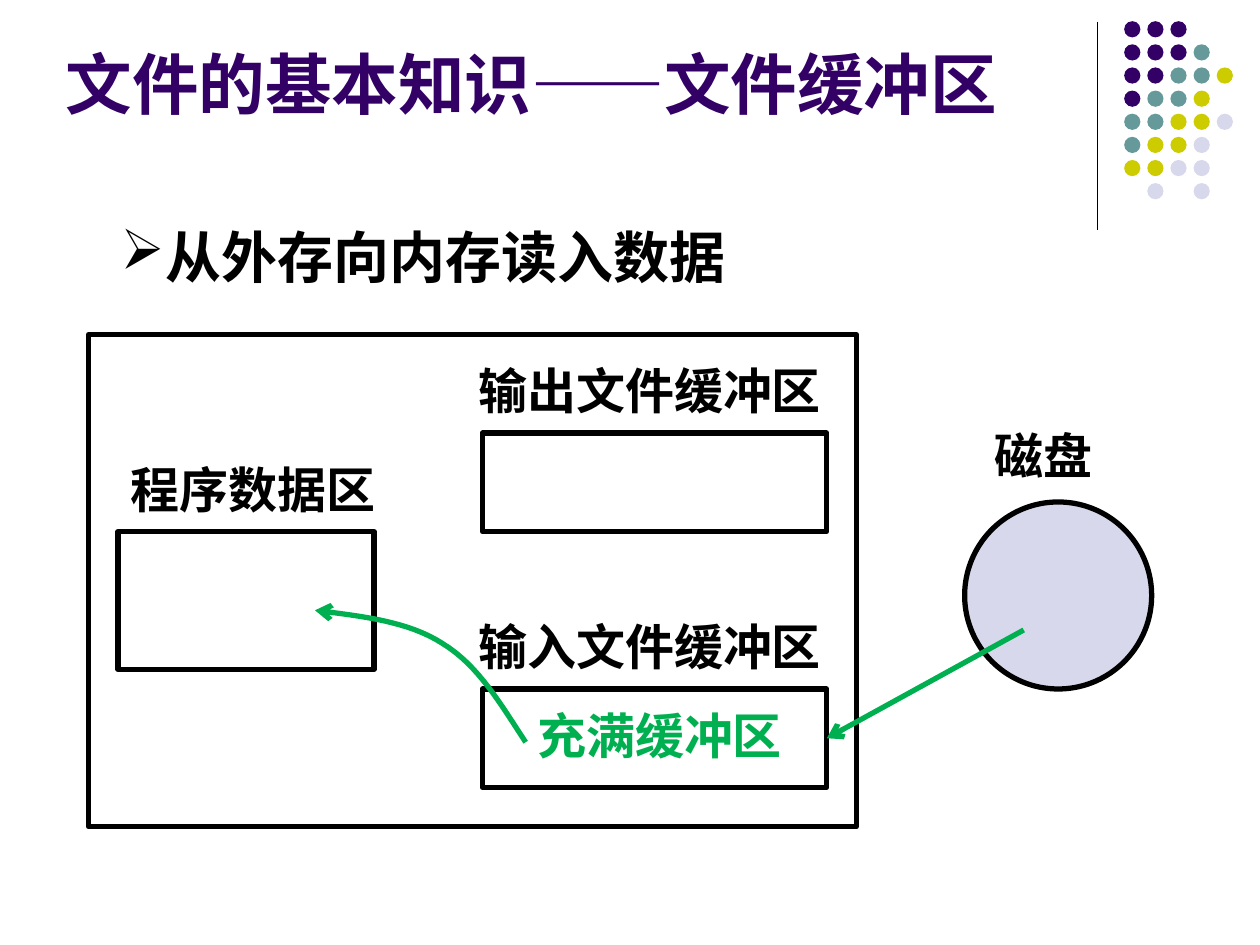
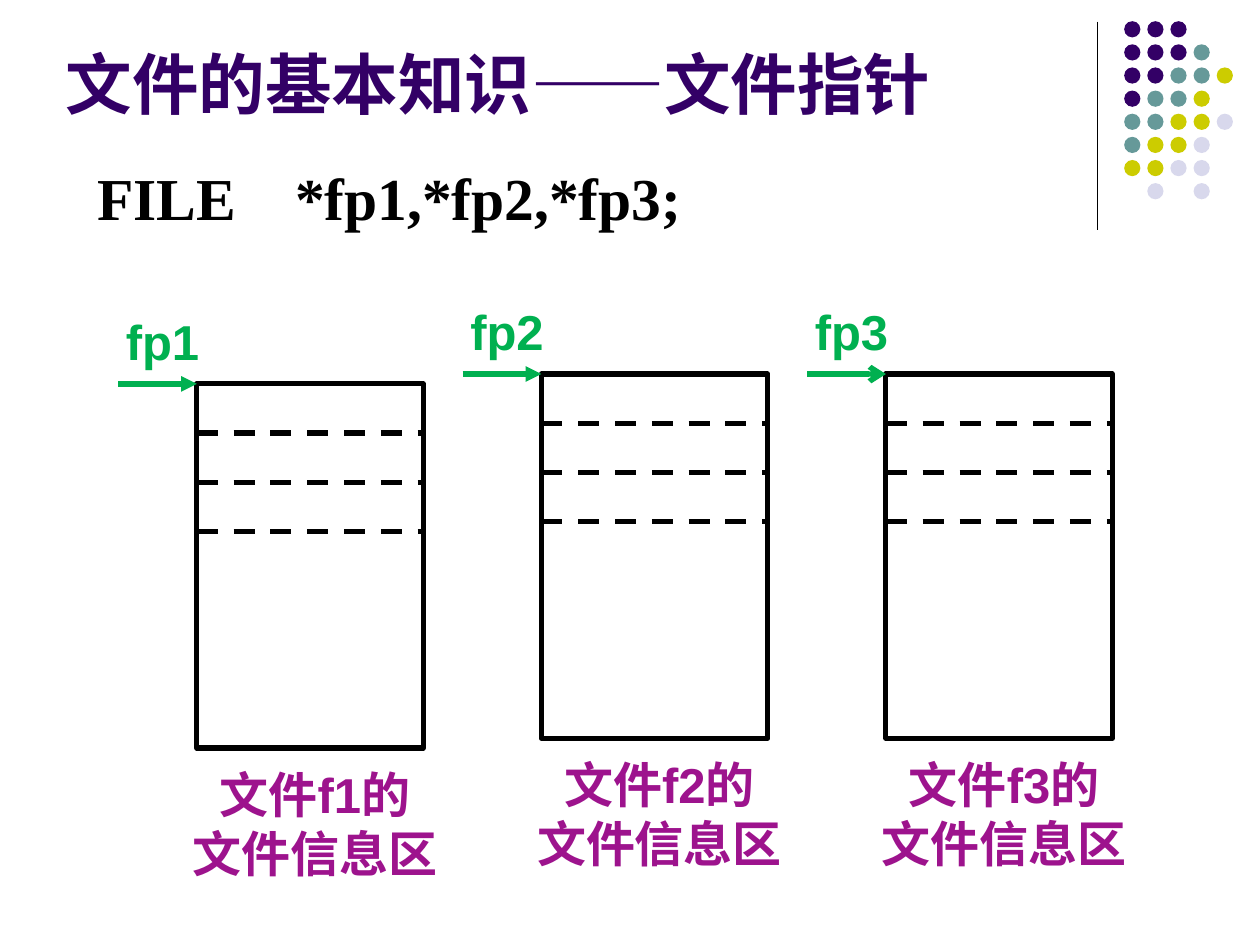
import pptx
import pptx.dml.color
import pptx.enum.dml
import pptx.enum.shapes
import pptx.enum.text
import pptx.oxml.ns
import pptx.util
import lxml.etree

COLOURS = {
    "purple": "330066", "teal": "669999", "lime": "CCCC00", "lilac": "D8D8EC",
    "black": "000000", "green": "00B050", "magenta": "9D138D",
}
COLUMNS = 128  # square grid cells: 128 across, 96 down
WIDTH, HEIGHT = pptx.util.Inches(10), pptx.util.Inches(7.5)
CELL = WIDTH / COLUMNS
LABEL_ROWS = 7.3

DOT_NAMES = {"p": "purple", "t": "teal", "y": "lime", "l": "lilac"}
DOT_ROWS = ["ppp", "pppt", "pptty", "ptty", "ttyyl", "tyyl", "yyll", " l l"]
DOT_LEFT, DOT_TOP, DOT_PITCH, DOT_SIZE = 114.2, 2.15, 2.35, 1.65

SHAPES = pptx.enum.shapes.MSO_SHAPE
ALIGN = pptx.enum.text.PP_ALIGN
ANCHOR = pptx.enum.text.MSO_ANCHOR


def cells(*counts):
    return [round(count * CELL) for count in counts]


def colour(name):
    return pptx.dml.color.RGBColor.from_string(COLOURS[name])


def add_element(parent, tag, **attributes):
    return lxml.etree.SubElement(parent, pptx.oxml.ns.qn(tag), **attributes)


def bezier(start, first, second, end, steps=16):
    """Points along a cubic curve, without its start."""
    for step in range(1, steps + 1):
        t = step / steps
        weights = (1 - t) ** 3, 3 * t * (1 - t) ** 2, 3 * t * t * (1 - t), t ** 3
        yield tuple(
            sum(weight * point[axis] for weight, point in zip(weights, (start, first, second, end)))
            for axis in (0, 1)
        )


class Painter:
    def __init__(self):
        self.deck = pptx.Presentation()
        self.deck.slide_width, self.deck.slide_height = WIDTH, HEIGHT
        self.page = None

    def new_page(self, title):
        self.page = self.deck.slides.add_slide(self.deck.slide_layouts[6])
        # Corner decoration: rule and dots
        self.line((111.5, 2.2), (111.5, 23.4), width=0.75)
        for row, pattern in enumerate(DOT_ROWS):
            for column, letter in enumerate(pattern):
                if letter in DOT_NAMES:
                    self.shape(DOT_LEFT + column * DOT_PITCH, DOT_TOP + row * DOT_PITCH,
                               DOT_SIZE, DOT_SIZE, SHAPES.OVAL, DOT_NAMES[letter], None)
        self.text(5.4, 3.6, 114, 9.5, title, 38, "purple", ALIGN.LEFT, anchor=ANCHOR.BOTTOM)

    def outline(self, line, name, width, arrow=None):
        line.color.rgb = colour(name)
        line.width = pptx.util.Pt(width)
        if arrow:
            add_element(line._get_or_add_ln(), "a:tailEnd", type=arrow)

    def shape(self, left, top, width, height, kind=SHAPES.RECTANGLE, fill=None, edge="black"):
        shape = self.page.shapes.add_shape(kind, *cells(left, top, width, height))
        shape.shadow.inherit = False
        if fill:
            shape.fill.solid()
            shape.fill.fore_color.rgb = colour(fill)
        else:
            shape.fill.background()
        if edge:
            self.outline(shape.line, edge, 3)
        else:
            shape.line.fill.background()

    def line(self, start, end, name="black", width=3, arrow=None, dashed=False):
        connector = self.page.shapes.add_connector(
            pptx.enum.shapes.MSO_CONNECTOR.STRAIGHT, *cells(*start, *end))
        if dashed:
            connector.line.dash_style = pptx.enum.dml.MSO_LINE.DASH
        self.outline(connector.line, name, width, arrow)
        add_element(connector._element.spPr, "a:effectLst")

    def curve(self, start, *segments, name="green"):
        points = [start]
        for segment in segments:
            points.extend(bezier(points[-1], *segment))
        builder = self.page.shapes.build_freeform(*cells(*start))
        builder.add_line_segments([cells(*point) for point in points[1:]], close=False)
        shape = builder.convert_to_shape()
        shape.shadow.inherit = False
        shape.fill.background()
        self.outline(shape.line, name, 3, "arrow")

    def text(self, left, top, width, height, words, size=28, name="black",
             align=ALIGN.CENTER, font="Arial", anchor=ANCHOR.TOP, bullet=None):
        box = self.page.shapes.add_textbox(*cells(left, top, width, height))
        frame = box.text_frame
        frame.word_wrap = True
        frame.vertical_anchor = anchor
        frame.text = words
        for para in frame.paragraphs:
            para.alignment = align
            if bullet:
                properties = para._p.get_or_add_pPr()
                bullet_colour = add_element(properties, "a:buClr")
                add_element(bullet_colour, "a:srgbClr", val=COLOURS[name])
                add_element(properties, "a:buChar", char=bullet)
            para.font.name = font
            para.font.size = pptx.util.Pt(size)
            para.font.bold = True
            para.font.color.rgb = colour(name)


def buffer_page(painter):
    painter.new_page("文件的基本知识——文件缓冲区")

    # Memory with the program data area
    painter.shape(9, 34, 78, 50)
    painter.shape(12, 54, 26, 14)
    painter.text(12, 46, 29, LABEL_ROWS, "程序数据区", align=ALIGN.LEFT)

    # Output and input buffers
    for top, label in ((44, "输出文件缓冲区"), (70, "输入文件缓冲区")):
        painter.shape(49, top, 35, 10)
        painter.text(46, top - 8, 40, LABEL_ROWS, label)

    # Disk
    painter.shape(98, 51, 19, 19, SHAPES.OVAL, "lilac")
    painter.text(98, 42.6, 16, LABEL_ROWS, "磁盘")

    painter.text(11, 22, 82, 8.2, "从外存向内存读入数据", 32, align=ALIGN.LEFT, bullet="➢")

    # Data flow: disk to buffer to program
    painter.curve((53.4, 75.4),
                  ((50.9, 71.6), (48.6, 67.6), (45, 65.4)),
                  ((41.5, 63.1), (36.7, 62.6), (32, 62)))
    painter.text(52, 71, 30, LABEL_ROWS, "充满缓冲区", name="green")
    painter.line((104, 64), (84, 75), "green", arrow="arrow")


def pointer_page(painter):
    painter.new_page("文件的基本知识——文件指针")
    painter.text(8.6, 15.7, 114, 12, "FILE　*fp1,*fp2,*fp3;", 34,
                 align=ALIGN.LEFT, font="Times New Roman")

    # One information block for each file
    blocks = ((39, "triangle"), (38, "triangle"), (38, "arrow"))
    for number, (top, arrow) in enumerate(blocks, start=1):
        left = 20 + 35 * (number - 1)
        painter.text(left - 2, top + 38, 28, 13.3, f"文件f{number}的\n文件信息区", name="magenta")
        painter.shape(left, top, 23, 37)
        for row in (5, 10, 15):
            painter.line((left, top + row), (left + 23, top + row), dashed=True)
        painter.text(left - 9, top - 8, 11, LABEL_ROWS, f"fp{number}", name="green")
        painter.line((left - 8, top), (left, top), "green", arrow=arrow)


def main():
    painter = Painter()
    buffer_page(painter)
    pointer_page(painter)
    painter.deck.save("out.pptx")


if __name__ == "__main__":
    main()
